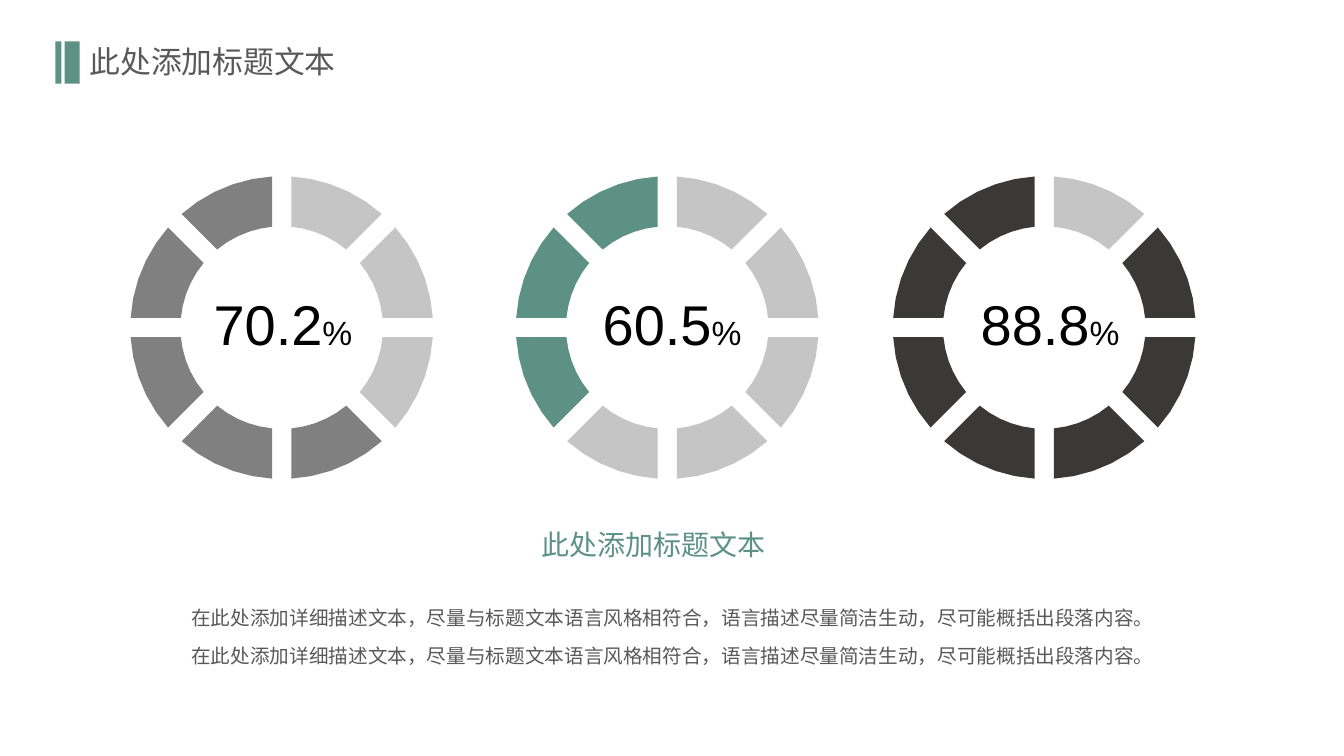
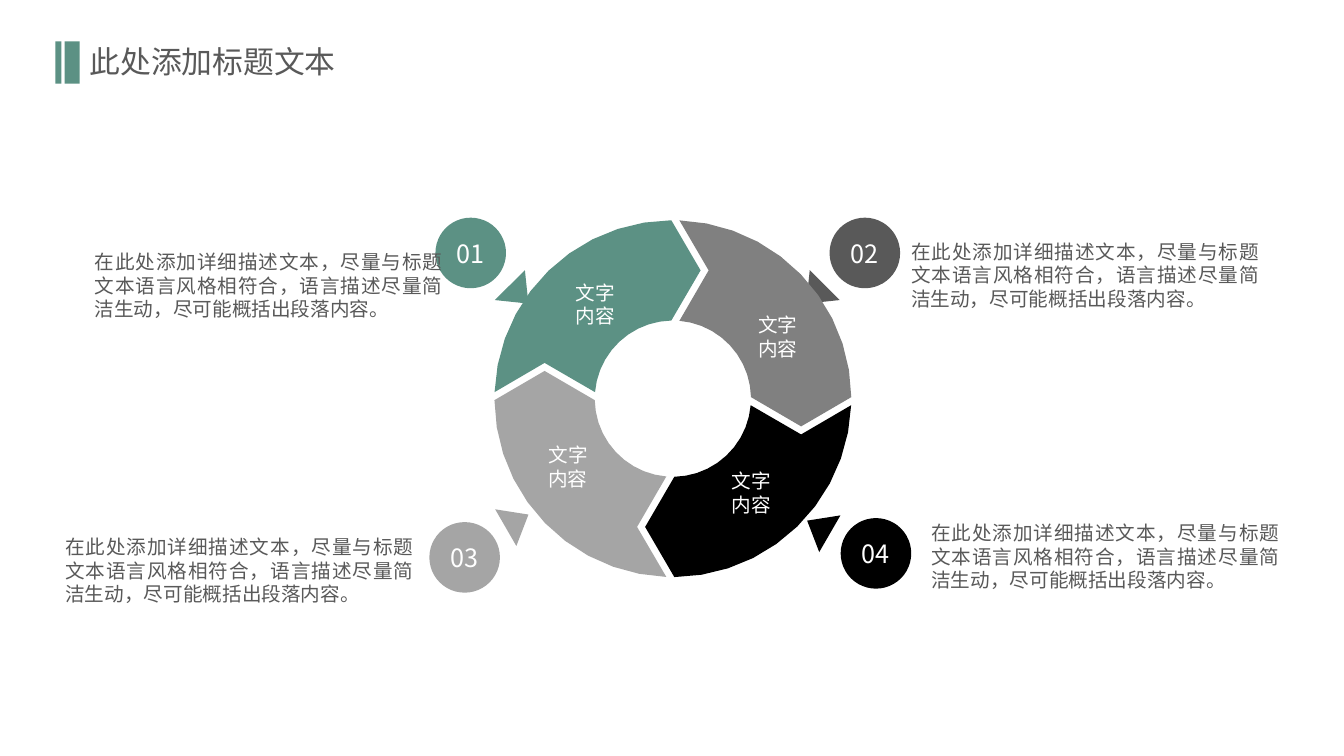
import dataclasses
import math

import pptx
import pptx.dml.color
import pptx.enum.shapes
import pptx.enum.text
import pptx.oxml.ns
import pptx.util
from lxml import etree

ALIGN = pptx.enum.text.PP_ALIGN
ANCHOR = pptx.enum.text.MSO_ANCHOR
SHAPE = pptx.enum.shapes.MSO_SHAPE

HEADING = "此处添加标题文本"
DESCRIPTION = "在此处添加详细描述文本，尽量与标题文本语言风格相符合，语言描述尽量简洁生动，尽可能概括出段落内容。"
LABEL = "文字内容"


@dataclasses.dataclass(frozen=True)
class Theme:
    """Colours, fonts, type sizes and the grid of square cells."""

    green: str = "5C9184"
    black: str = "000000"
    charcoal: str = "3B3838"
    text: str = "595959"
    gray: str = "808080"
    silver: str = "A5A5A5"
    pale: str = "C4C5C4"
    white: str = "FFFFFF"
    font: str = "Noto Sans CJK JP"
    figure_font: str = "Arial"
    title: int = 22
    subtitle: int = 20
    number: int = 18
    body: int = 14
    figure: int = 40
    unit: int = 24
    leading: float = 1.2
    columns: float = 133.33
    rows: float = 75
    cell: int = pptx.util.Inches(0.1)


THEME = Theme()


def cells(*lengths):
    """Turn grid lengths into slide units."""
    return [round(length * THEME.cell) for length in lengths]


def color(value):
    """Return the colour object of a hex value."""
    return pptx.dml.color.RGBColor.from_string(value)


def write_text(frame, text, *, size=THEME.body, fill=THEME.text, font=THEME.font,
               align=ALIGN.LEFT, anchor=ANCHOR.TOP, wrap=True, inset=(1, 0.5),
               leading=THEME.leading, suffix="", suffix_size=None):
    """Write one formatted paragraph, with an optional smaller suffix."""
    frame.auto_size = pptx.enum.text.MSO_AUTO_SIZE.NONE
    frame.word_wrap = wrap
    frame.vertical_anchor = anchor
    frame.margin_left, frame.margin_top = cells(*inset)
    frame.margin_right, frame.margin_bottom = cells(*inset)
    paragraph = frame.paragraphs[0]
    paragraph.alignment = align
    paragraph.space_before = pptx.util.Pt(0)
    if leading:
        paragraph.line_spacing = pptx.util.Pt(size * leading)
    for words, points in ((text, size), (suffix, suffix_size)):
        if not words:
            continue
        run = paragraph.add_run()
        run.text = words
        run.font.size = pptx.util.Pt(points)
        run.font.color.rgb = color(fill)
        run.font.name = font
        east_asian = etree.SubElement(run.font._element, pptx.oxml.ns.qn("a:ea"))
        east_asian.set("typeface", font)


def polar(center, angle, radius, shift=0):
    """Find a point by clockwise angle from the top, radius and sideways shift."""
    turn = math.radians(angle)
    return (center[0] + radius * math.sin(turn) + shift * math.cos(turn),
            center[1] - radius * math.cos(turn) + shift * math.sin(turn))


def arc(center, radius, start, end, start_gap, end_gap):
    """List points along an arc whose ends keep parallel gaps."""
    steps = round((end - start) / 9)
    first = start + math.degrees(math.asin(start_gap / radius))
    last = end - math.degrees(math.asin(end_gap / radius))
    return [polar(center, first + (last - first) * step / steps, radius)
            for step in range(steps + 1)]


class Deck:
    """Hold the style and the current slide, and draw elements on it."""

    def __init__(self, theme):
        """Start an empty presentation."""
        self.theme = theme
        self.presentation = pptx.Presentation()
        (self.presentation.slide_width,
         self.presentation.slide_height) = cells(theme.columns, theme.rows)
        self.slide = None

    def add_slide(self, title):
        """Add a slide with its title and the two marker bars."""
        layout = self.presentation.slide_layouts[5]
        self.slide = self.presentation.slides.add_slide(layout)
        for left, width in ((5.5, 0.6), (6.4, 1.5)):
            self.shape(SHAPE.RECTANGLE, (left + width / 2, 6.2), (width, 4.2),
                       self.theme.green)
        shape = self.slide.shapes.title
        shape.left, shape.top, shape.width, shape.height = cells(7.9, 3.7, 26.7, 4.7)
        write_text(shape.text_frame, title, size=self.theme.title, wrap=False)

    def paint(self, shape, fill):
        """Give a shape a plain fill without line or shadow."""
        shape.shadow.inherit = False
        shape.fill.solid()
        shape.fill.fore_color.rgb = color(fill)
        shape.line.fill.background()
        return shape

    def shape(self, kind, center, size, fill, rotation=0):
        """Draw a preset shape around its centre."""
        left, top = (middle - length / 2 for middle, length in zip(center, size))
        shape = self.slide.shapes.add_shape(kind, *cells(left, top, *size))
        shape.rotation = rotation
        return self.paint(shape, fill)

    def text(self, box, text, **style):
        """Place a text box given as left, top, width and height."""
        shape = self.slide.shapes.add_textbox(*cells(*box))
        write_text(shape.text_frame, text, **style)

    def ring_piece(self, center, radii, start, sweep, gaps, fill, chevron=0):
        """Draw a ring sector, with arrow-shaped ends if chevron is set."""
        outer, inner = radii
        middle = (outer + inner) / 2
        end = start + sweep
        points = arc(center, outer, start, end, *gaps)
        if chevron:
            points.append(polar(center, end, middle, chevron - gaps[1]))
        points.extend(reversed(arc(center, inner, start, end, *gaps)))
        if chevron:
            points.append(polar(center, start, middle, chevron + gaps[0]))
        first, *others = [cells(*point) for point in points]
        builder = self.slide.shapes.build_freeform(*first)
        builder.add_line_segments(others, close=True)
        self.paint(builder.convert_to_shape(), fill)

    def gauge(self, center, fill, pale_pieces, value, value_left):
        """Draw an eight-piece ring with its percentage."""
        sweep = 360 / 8
        for index in range(8):
            piece_fill = self.theme.pale if index in pale_pieces else fill
            self.ring_piece(center, (15.02, 10.05), index * sweep, sweep,
                            (0.95, 0.95), piece_fill)
        self.text((value_left, 28.2, 15.9, 7.7), value, size=self.theme.figure,
                  fill=self.theme.black, font=self.theme.figure_font, wrap=False,
                  leading=None, suffix="%", suffix_size=self.theme.unit)

    def badge(self, number, center, fill, pointer_center, pointer_angle):
        """Draw a numbered circle and its pointer."""
        circle = self.shape(SHAPE.OVAL, center, (7, 7), fill)
        write_text(circle.text_frame, number, size=self.theme.number,
                   fill=self.theme.white, align=ALIGN.CENTER,
                   anchor=ANCHOR.MIDDLE, wrap=False, inset=(0, 0))
        self.shape(SHAPE.ISOSCELES_TRIANGLE, pointer_center, (4.2, 2.6), fill,
                   pointer_angle)


def add_gauges(deck):
    """Build the slide with three percentage rings."""
    theme = deck.theme
    deck.add_slide(HEADING)
    for center_x, fill, pale_pieces, value, value_left in (
        (27.95, theme.gray, range(3), "70.2", 20.2),
        (66.2, theme.green, range(5), "60.5", 58.8),
        (103.6, theme.charcoal, range(1), "88.8", 96.3),
    ):
        deck.gauge((center_x, 32.5), fill, pale_pieces, value, value_left)
    deck.text((52.7, 51.8, 25.1, 4.4), HEADING, size=theme.subtitle,
              fill=theme.green, wrap=False)
    for row in range(2):
        deck.text((18, 59.6 + 3.8 * row, 101.3, 3.4), DESCRIPTION,
                  align=ALIGN.JUSTIFY)


def add_cycle(deck):
    """Build the slide with a cycle of four arrows."""
    theme = deck.theme
    deck.add_slide(HEADING)
    for badge in (
        ("01", (46.7, 25.1), theme.green, (51.5, 29.2), 135),
        ("02", (85.8, 25.1), theme.text, (80.9, 29.2), 225),
        ("03", (46.1, 55.3), theme.silver, (51.3, 51.7), 60),
        ("04", (86.9, 54.9), theme.black, (81.2, 52.3), 300),
    ):
        deck.badge(*badge)
    fills = (theme.gray, theme.black, theme.silver, theme.green)
    for index, fill in enumerate(fills):
        deck.ring_piece((66.75, 39.55), (17.7, 7.75), index * 90, 90,
                        (0.65, 0.15), fill, chevron=2.9)
    for left, top in ((56.3, 26.5), (53.6, 42.6), (74.4, 29.7), (71.8, 45.2)):
        deck.text((left, top, 5.5, 7.4), LABEL, fill=theme.white,
                  align=ALIGN.CENTER, anchor=ANCHOR.MIDDLE, inset=(0, 0))
    for left, top in ((8.4, 24.3), (5.5, 52.6), (89.4, 23.3), (91.4, 51.2)):
        deck.text((left, top, 36.5, 8.1), DESCRIPTION, align=ALIGN.JUSTIFY)


def main():
    """Build and save the presentation."""
    deck = Deck(THEME)
    add_gauges(deck)
    add_cycle(deck)
    deck.presentation.save("out.pptx")


if __name__ == "__main__":
    main()
